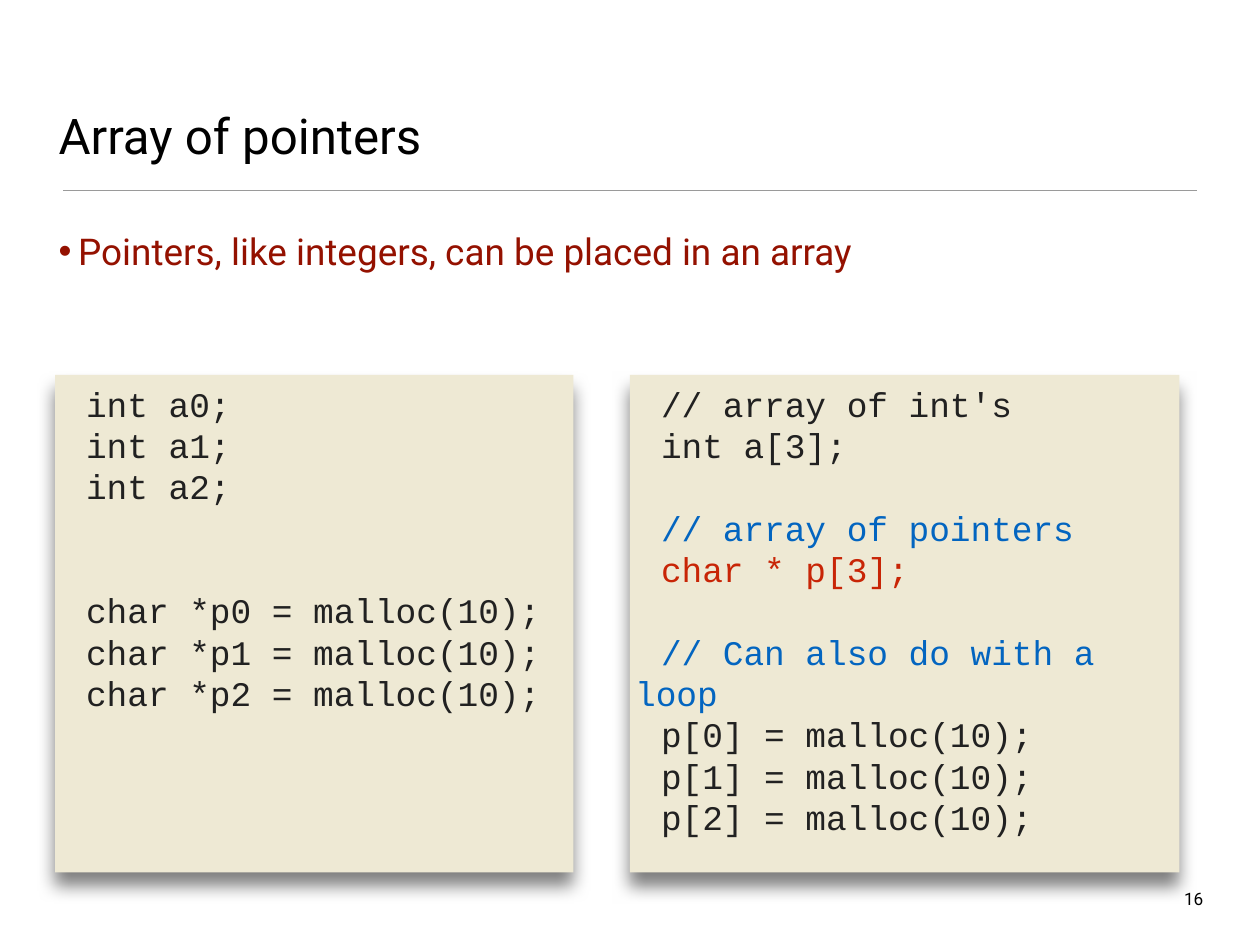
from lxml import etree
from pptx import Presentation
from pptx.dml.color import RGBColor
from pptx.enum.shapes import MSO_CONNECTOR, MSO_SHAPE
from pptx.enum.text import MSO_ANCHOR, MSO_AUTO_SIZE, PP_ALIGN
from pptx.oxml import parse_xml
from pptx.oxml.ns import nsdecls, qn
from pptx.util import Cm, Pt

LEFT, RIGHT = PP_ALIGN.LEFT, PP_ALIGN.RIGHT
TOP, BOTTOM = MSO_ANCHOR.TOP, MSO_ANCHOR.BOTTOM
NO_FIT = MSO_AUTO_SIZE.NONE
RECTANGLE, STRAIGHT = MSO_SHAPE.RECTANGLE, MSO_CONNECTOR.STRAIGHT

BLACK = RGBColor(0x00, 0x00, 0x00)
GREY = RGBColor(0x9A, 0x9A, 0x9A)
DARK_RED = RGBColor(0x94, 0x11, 0x00)
CREAM = RGBColor(0xEE, 0xE9, 0xD4)
INK = RGBColor(0x21, 0x21, 0x21)
BLUE = RGBColor(0x03, 0x65, 0xC0)
RED = RGBColor(0xC8, 0x25, 0x06)

BODY_FONT, CODE_FONT = "Roboto", "Courier New"
CODE_PITCH = 33.6  # points from one code line to the next

# Code blocks: (line, colour, empty lines above it)
SEPARATE_VARIABLES = [
    ("int a0;", INK, 0),
    ("int a1;", INK, 0),
    ("int a2;", INK, 0),
    ("char *p0 = malloc(10);", INK, 2),
    ("char *p1 = malloc(10);", INK, 0),
    ("char *p2 = malloc(10);", INK, 0),
]
ARRAYS = [
    ("// array of int's", INK, 0),
    ("int a[3];", INK, 0),
    ("// array of pointers", BLUE, 1),
    ("char * p[3];", RED, 0),
    ("// Can also do with a loop", BLUE, 1),
    ("p[0] = malloc(10);", INK, 0),
    ("p[1] = malloc(10);", INK, 0),
    ("p[2] = malloc(10);", INK, 0),
]


def write(para, text, size, color, font=BODY_FONT, align=LEFT, before=0, pitch=None):
    """Put one formatted run of text into a paragraph."""
    para.alignment = align
    para.space_before = Pt(before)
    if pitch:
        para.line_spacing = Pt(pitch)
    span = para.add_run()
    span.text = text
    span.font.name = font
    span.font.size = Pt(size)
    span.font.color.rgb = color


def indent(para, margin, first_line):
    properties = para._p.get_or_add_pPr()
    properties.set("marL", str(int(margin)))
    properties.set("indent", str(int(first_line)))


def set_frame(shape, inset, anchor=TOP, wrap=True):
    frame = shape.text_frame
    frame.margin_left = frame.margin_right = inset
    frame.margin_top = frame.margin_bottom = inset
    frame.vertical_anchor = anchor
    frame.word_wrap = wrap
    frame.auto_size = NO_FIT
    return frame


def place(shape, box):
    shape.left, shape.top, shape.width, shape.height = box


def add_heading(page, box):
    """Title with the thin rule below it."""
    left, top, width, height = box
    title = page.shapes.title
    place(title, box)
    frame = set_frame(title, Cm(0.1), BOTTOM)
    write(frame.paragraphs[0], "Array of pointers", 40, BLACK)

    rule_y = top + height + Cm(0.66)
    rule = page.shapes.add_connector(
        STRAIGHT, left + Cm(0.23), rule_y, left + width - Cm(0.2), rule_y)
    rule.line.color.rgb = GREY
    rule.line.width = Pt(1)
    etree.SubElement(rule._element.spPr, qn("a:effectLst"))


def add_bullets(page, box):
    """Body text with the slide's one point."""
    body = page.placeholders[1]
    place(body, box)
    para = set_frame(body, Cm(0.1)).paragraphs[0]
    write(para, "Pointers, like integers, can be placed in an array",
          30, DARK_RED, before=15)
    indent(para, Cm(0.56), -Cm(0.56))


def add_code(page, box, lines):
    """Cream panel with a soft shadow below and a listing inside."""
    panel = page.shapes.add_shape(RECTANGLE, *box)
    panel.fill.solid()
    panel.fill.fore_color.rgb = CREAM
    panel.line.fill.background()
    panel.shadow.inherit = False
    effects = panel._element.spPr.find(qn("a:effectLst"))
    effects.append(parse_xml(
        f'<a:outerShdw {nsdecls("a")} blurRad="{Pt(14)}" dist="{Pt(11)}" '
        'dir="5400000" rotWithShape="0"><a:srgbClr val="000000">'
        '<a:alpha val="50000"/></a:srgbClr></a:outerShdw>'))

    frame = set_frame(panel, Cm(0.15))
    frame.margin_top = Cm(0.23)
    for number, (text, color, gap) in enumerate(lines):
        para = frame.add_paragraph() if number else frame.paragraphs[0]
        write(para, text, 28, color, CODE_FONT,
              before=gap * CODE_PITCH, pitch=CODE_PITCH)
        indent(para, 0, Cm(0.74))


def add_page_number(page, box):
    number = page.shapes.add_textbox(*box)
    frame = set_frame(number, Cm(0.1), wrap=False)
    write(frame.paragraphs[0], "16", 14, BLACK, align=RIGHT)


def main():
    deck = Presentation()
    deck.slide_width, deck.slide_height = Cm(36.12), Cm(27.1)
    page = deck.slides.add_slide(deck.slide_layouts[1])

    margin, text_width = Cm(1.58), Cm(32.94)
    code_top, code_height = Cm(10.75), Cm(14.27)
    add_heading(page, (margin, Cm(0.91), text_width, Cm(3.89)))
    add_bullets(page, (margin, Cm(6.45), text_width, Cm(18.24)))
    add_page_number(page, (Cm(33.81), Cm(25.37), Cm(0.79), Cm(0.76)))
    add_code(page, (margin, code_top, Cm(14.86), code_height), SEPARATE_VARIABLES)
    add_code(page, (Cm(18.06), code_top, Cm(15.75), code_height), ARRAYS)

    deck.save("out.pptx")


if __name__ == "__main__":
    main()
